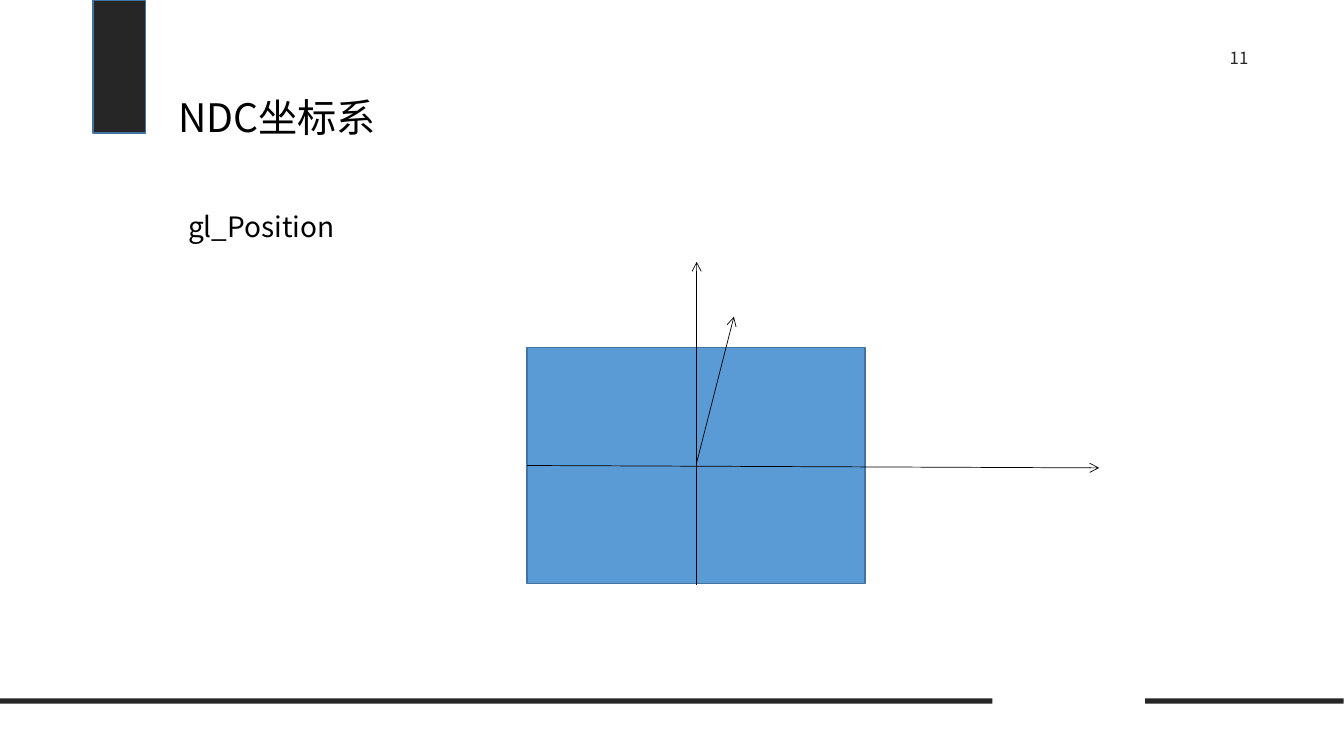
from typing import NamedTuple

from lxml.etree import SubElement
from pptx import Presentation
from pptx.dml.color import RGBColor
from pptx.enum.shapes import MSO_CONNECTOR, MSO_SHAPE
from pptx.enum.text import MSO_ANCHOR, MSO_AUTO_SIZE, PP_ALIGN
from pptx.oxml.ns import qn
from pptx.util import Cm, Inches, Pt

BLACK = RGBColor(0x00, 0x00, 0x00)
DARK = RGBColor(0x26, 0x26, 0x26)
BLUE = RGBColor(0x5B, 0x9B, 0xD5)
EDGE = RGBColor(0x43, 0x73, 0x9E)
FONT = "Noto Sans CJK SC"


class Box(NamedTuple):
    x: float
    y: float
    w: float
    h: float
    fill: RGBColor
    edge: RGBColor | None = None


class Label(NamedTuple):
    text: str
    x: float
    y: float
    w: float
    h: float
    size: int
    color: RGBColor
    frame: dict
    para: dict


class Arrow(NamedTuple):
    x1: float
    y1: float
    x2: float
    y2: float


# Plain margins of the subtitle and the page number
INSET = {"margin_left": Cm(0.5), "margin_right": Cm(0.5),
         "margin_top": Cm(0.25), "margin_bottom": Cm(0.25),
         "vertical_anchor": MSO_ANCHOR.TOP}

BOXES = [
    Box(2.34, 0, 1.32, 3.35, DARK, EDGE),
    Box(0, 17.6, 25, 0.13, DARK),
    Box(28.85, 17.6, 5, 0.13, DARK),
    Box(13.28, 8.76, 8.51, 5.94, BLUE, EDGE),
]
ARROWS = [
    Arrow(13.28, 11.73, 27.69, 11.79),
    Arrow(17.55, 14.73, 17.55, 6.6),
    Arrow(17.55, 11.66, 18.49, 7.98),
]
TITLE = Label("NDC坐标系", 4.24, 1.57, 25.4, 2.11, 28, BLACK,
              {"vertical_anchor": MSO_ANCHOR.BOTTOM},
              {"alignment": PP_ALIGN.LEFT, "line_spacing": 0.9})
LABELS = [
    Label("gl_Position", 4.24, 5.13, 25.4, 1.78, 20, BLACK, INSET,
          {"line_spacing": 0.9, "space_before": Pt(10)}),
    Label("11", 30.07, 0.95, 2.29, 1.27, 12, DARK, INSET,
          {"alignment": PP_ALIGN.CENTER}),
]


def assign(target: object, values: dict) -> None:
    for name, value in values.items():
        setattr(target, name, value)


def draw_box(slide, box: Box) -> None:
    shape = slide.shapes.add_shape(
        MSO_SHAPE.RECTANGLE, Cm(box.x), Cm(box.y), Cm(box.w), Cm(box.h))
    shape.shadow.inherit = False
    shape.fill.solid()
    shape.fill.fore_color.rgb = box.fill
    if box.edge is None:
        shape.line.fill.background()
    else:
        shape.line.color.rgb = box.edge
        shape.line.width = Pt(1)


def write(shape, label: Label) -> None:
    assign(shape, {"left": Cm(label.x), "top": Cm(label.y),
                   "width": Cm(label.w), "height": Cm(label.h)})
    frame = shape.text_frame
    assign(frame, {"word_wrap": True, "auto_size": MSO_AUTO_SIZE.NONE,
                   **label.frame})
    para = frame.paragraphs[0]
    assign(para, label.para)
    run = para.add_run()
    run.text = label.text
    assign(run.font, {"name": FONT, "size": Pt(label.size)})
    run.font.color.rgb = label.color
    # East Asian letters take their own font entry
    SubElement(run.font._element, qn("a:ea"), typeface=FONT)


def draw_arrow(slide, arrow: Arrow) -> None:
    line = slide.shapes.add_connector(
        MSO_CONNECTOR.STRAIGHT, *(Cm(value) for value in arrow))
    line.line.color.rgb = BLACK
    line.line.width = Pt(0.5)
    props = line.element.spPr
    SubElement(props.find(qn("a:ln")), qn("a:tailEnd"), type="arrow")
    SubElement(props, qn("a:effectLst"))


def main() -> None:
    deck = Presentation()
    assign(deck, {"slide_width": Inches(13.33), "slide_height": Inches(7.5)})
    slide = deck.slides.add_slide(deck.slide_layouts[5])

    # Bars and the NDC square
    for box in BOXES:
        draw_box(slide, box)

    # Title, subtitle and page number
    write(slide.shapes.title, TITLE)
    for label in LABELS:
        write(slide.shapes.add_textbox(0, 0, 0, 0), label)

    # Axes and the slanted vector
    for arrow in ARROWS:
        draw_arrow(slide, arrow)

    deck.save("out.pptx")


if __name__ == "__main__":
    main()
